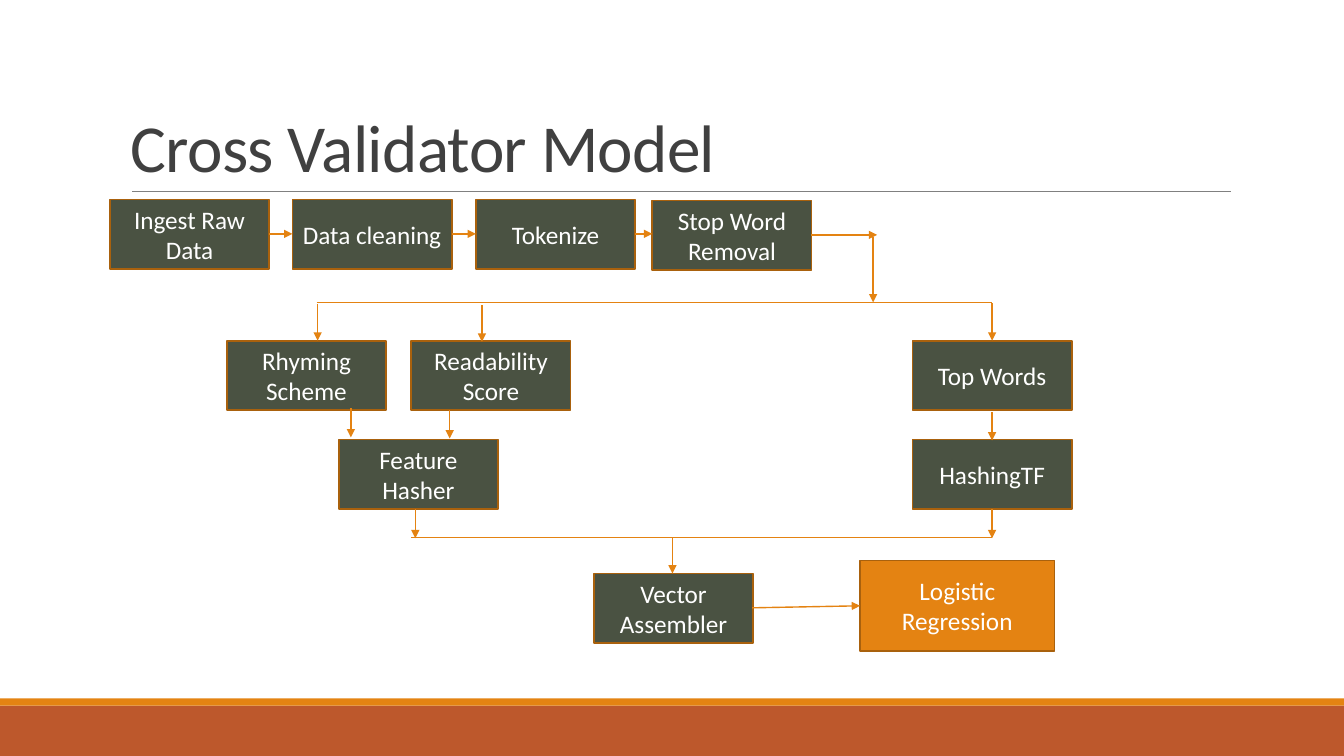
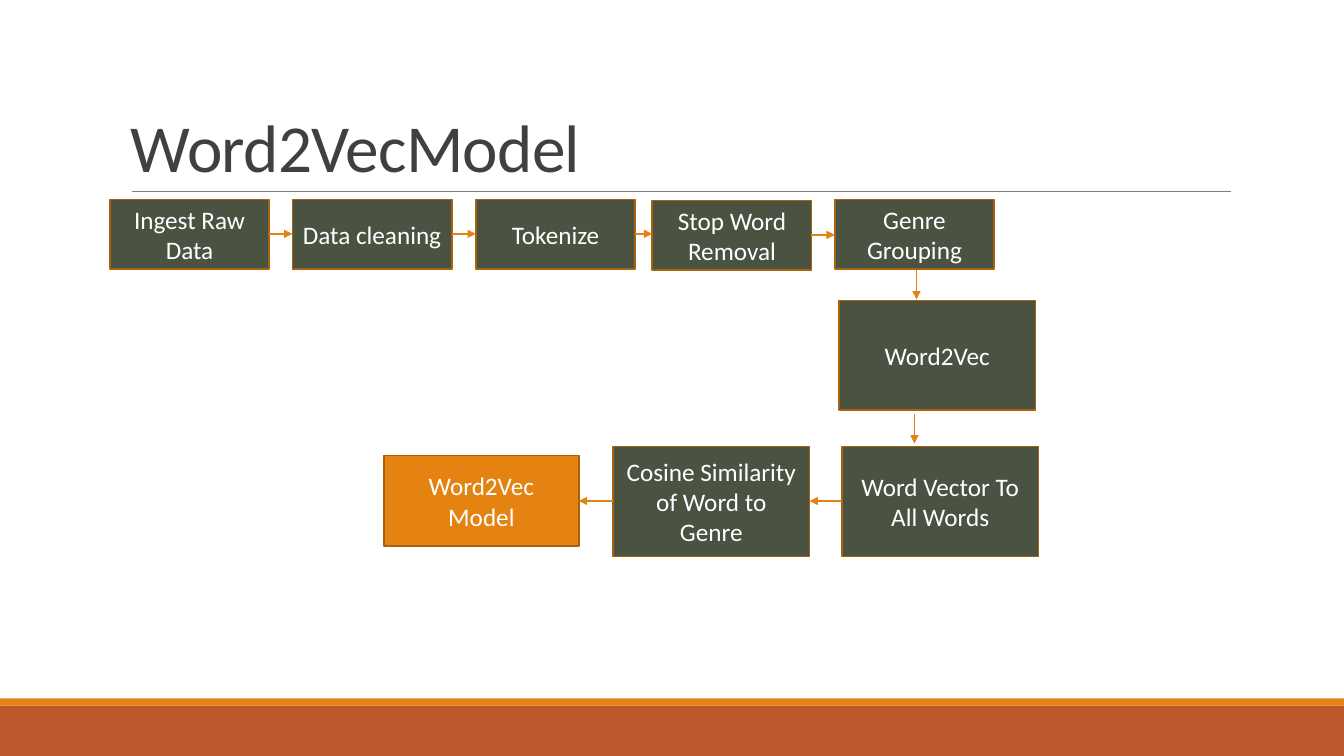
from dataclasses import dataclass

from lxml.etree import SubElement
from pptx import Presentation
from pptx.dml.color import RGBColor
from pptx.enum.shapes import MSO_CONNECTOR, MSO_SHAPE
from pptx.enum.text import MSO_ANCHOR, PP_ALIGN
from pptx.oxml.ns import qn
from pptx.shapes.autoshape import Shape
from pptx.slide import Slide
from pptx.util import Inches, Pt

COLORS = {
    "band": "BD582C",
    "accent": "E48312",
    "rule": "808080",
    "title": "404040",
    "step": "4A5242",
    "edge": "A9610D",
    "text": "FFFFFF",
}
FONT = "Calibri"
WIDE, HIGH = 13.33, 7.5
STEP = (1.58, 0.69)
MODEL = (1.93, 0.9)
LARGE = (1.95, 1.09)


@dataclass
class Box:
    text: str
    left: float
    top: float
    size: tuple[float, float] = STEP
    fill: str = "step"


@dataclass
class Line:
    start: tuple[float, float]
    end: tuple[float, float]
    arrow: bool = True
    color: str = "accent"
    width: float = 1


def rgb(name: str) -> RGBColor:
    return RGBColor.from_string(COLORS[name])


def add_rect(slide: Slide, left: float, top: float, width: float,
             height: float, fill: str) -> Shape:
    rect = slide.shapes.add_shape(MSO_SHAPE.RECTANGLE, Inches(left), Inches(top),
                                  Inches(width), Inches(height))
    rect.shadow.inherit = False
    rect.fill.solid()
    rect.fill.fore_color.rgb = rgb(fill)
    rect.line.fill.background()
    return rect


def add_text(shape: Shape, text: str, size: int, color: str,
             anchor: MSO_ANCHOR, align: PP_ALIGN) -> None:
    frame = shape.text_frame
    frame.word_wrap = True
    frame.vertical_anchor = anchor
    para = frame.paragraphs[0]
    para.text = text
    para.alignment = align
    para.font.name = FONT
    para.font.size = Pt(size)
    para.font.color.rgb = rgb(color)


def add_box(slide: Slide, box: Box) -> None:
    shape = add_rect(slide, box.left, box.top, *box.size, box.fill)
    shape.line.color.rgb = rgb("edge")
    shape.line.width = Pt(1.25)
    add_text(shape, box.text, 18, "text", MSO_ANCHOR.MIDDLE, PP_ALIGN.CENTER)


def add_line(slide: Slide, line: Line) -> None:
    shape = slide.shapes.add_connector(
        MSO_CONNECTOR.STRAIGHT, *(Inches(n) for n in line.start + line.end))
    shape.line.color.rgb = rgb(line.color)
    shape.line.width = Pt(line.width)
    if line.arrow:
        SubElement(shape.line._get_or_add_ln(), qn("a:tailEnd"), type="triangle")
    SubElement(shape._element.spPr, qn("a:effectLst"))


def add_title(slide: Slide, text: str) -> None:
    title = slide.shapes.add_textbox(Inches(1.2), Inches(0.31),
                                     Inches(11), Inches(1.59))
    add_text(title, text, 48, "title", MSO_ANCHOR.BOTTOM, PP_ALIGN.LEFT)
    para = title.text_frame.paragraphs[0]
    para.line_spacing = 0.85
    para.runs[0]._r.get_or_add_rPr().set("spc", "-50")


def add_page(deck: Presentation, title: str, boxes: list[Box],
             lines: list[Line]) -> None:
    slide = deck.slides.add_slide(deck.slide_layouts[6])
    # Bands, rule and title
    add_rect(slide, 0, 7, WIDE, 0.5, "band")
    add_rect(slide, 0, 6.93, WIDE, 0.07, "accent")
    add_line(slide, Line((1.31, 1.9), (12.21, 1.9), False, "rule", 0.5))
    add_title(slide, title)
    # Flow chart
    for box in boxes:
        add_box(slide, box)
    for line in lines:
        add_line(slide, line)


def down(x: float, top: float, end: float) -> Line:
    return Line((x, top), (x, end))


# Steps that open both flows
START = [
    Box("Ingest Raw Data", 1.09, 1.98),
    Box("Data cleaning", 2.9, 1.98),
    Box("Tokenize", 4.72, 1.98),
    Box("Stop Word Removal", 6.47, 1.99),
]
LINKS = [Line((a.left + STEP[0], 2.32), (b.left, 2.32))
         for a, b in zip(START, START[1:])]

# Cross validator flow
CROSS = [
    Box("Rhyming Scheme", 2.25, 3.38),
    Box("Readability Score", 4.08, 3.38),
    Box("Top Words", 9.05, 3.38),
    Box("Feature Hasher", 3.36, 4.36),
    Box("HashingTF", 9.05, 4.36),
    Box("Vector Assembler", 5.89, 5.69),
    Box("Logistic Regression", 8.53, 5.56, MODEL, "accent"),
]
CROSS_LINKS = [
    Line((8.04, 2.33), (8.7, 2.33)),
    down(8.66, 2.35, 3),
    Line((3.14, 3), (9.84, 3), False),
    down(3.15, 3.02, 3.38),
    down(4.78, 3.03, 3.39),
    down(9.84, 3.01, 3.38),
    down(3.48, 4.05, 4.34),
    down(4.46, 4.07, 4.35),
    down(9.84, 4.09, 4.37),
    down(4.12, 5.05, 5.34),
    down(9.84, 5.05, 5.34),
    Line((4.08, 5.33), (9.84, 5.33), False),
    down(6.67, 5.33, 5.69),
    Line((7.46, 6.03), (8.53, 6.01)),
]

# Word vector flow
VECTOR = [
    Box("Genre Grouping", 8.28, 1.98),
    Box("Word2Vec", 8.32, 2.98, LARGE),
    Box("Word Vector To All Words", 8.35, 4.43, LARGE),
    Box("Cosine Similarity of Word to Genre", 6.08, 4.43, LARGE),
    Box("Word2Vec Model", 3.81, 4.52, MODEL, "accent"),
]
VECTOR_LINKS = [
    Line((8.04, 2.33), (8.28, 2.33)),
    down(9.09, 2.68, 2.97),
    down(9.07, 4.11, 4.4),
    Line((8.35, 4.97), (8.03, 4.97)),
    Line((6.08, 4.97), (5.74, 4.97)),
]


def main() -> None:
    deck = Presentation()
    deck.slide_width, deck.slide_height = Inches(WIDE), Inches(HIGH)
    add_page(deck, "Cross Validator Model", START + CROSS, LINKS + CROSS_LINKS)
    add_page(deck, "Word2VecModel", START + VECTOR, LINKS + VECTOR_LINKS)
    deck.save("out.pptx")


if __name__ == "__main__":
    main()
